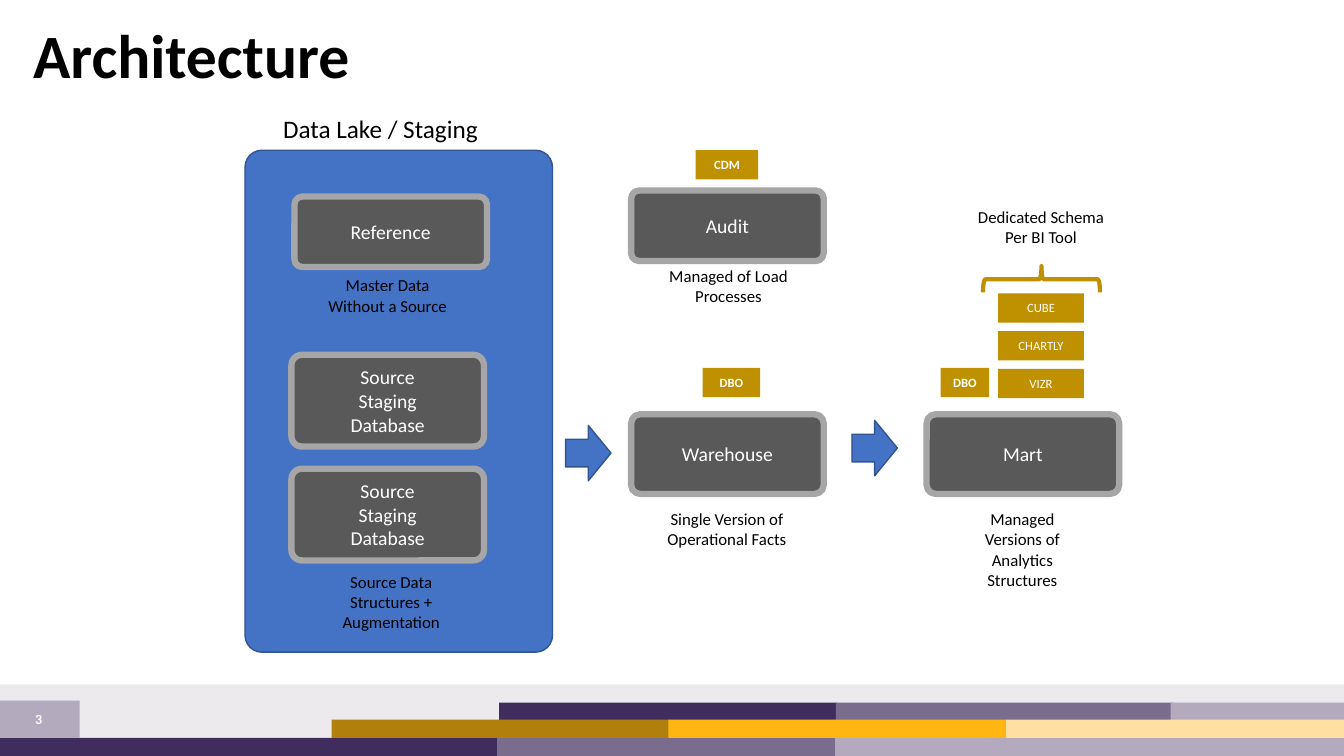
from pptx import Presentation
from pptx.dml.color import RGBColor
from pptx.enum.shapes import MSO_SHAPE
from pptx.enum.text import MSO_ANCHOR, PP_ALIGN
from pptx.util import Inches, Pt

COLORS = {
    "white": "FFFFFF", "black": "000000", "pale": "ECEAED",
    "lilac": "B3ABBD", "plum": "412D5D", "mauve": "7A6C8D",
    "bronze": "B1800C", "amber": "FFB612", "cream": "FFE0A2",
    "blue": "4472C4", "navy": "325491", "dark": "595959",
    "gray": "A6A6A6", "gold": "BF9000",
}

BANDS = [
    (0, 6.79, 13.33, 0.71, "pale"),
    (7.74, 7.06, 5.6, 0.44, "lilac"),
    (0, 7.32, 4.94, 0.18, "plum"),
    (4.93, 7.32, 3.35, 0.18, "mauve"),
    (4.95, 6.97, 3.35, 0.18, "plum"),
    (8.29, 6.97, 3.35, 0.18, "mauve"),
    (11.61, 6.97, 1.72, 0.18, "lilac"),
    (3.29, 7.14, 3.35, 0.18, "bronze"),
    (6.63, 7.14, 3.35, 0.18, "amber"),
    (9.98, 7.14, 3.35, 0.18, "cream"),
    (0, 6.95, 0.79, 0.37, "lilac"),
]

STORES = [
    (2.92, 1.95, 0.7, "Reference"),
    (2.89, 3.52, 0.91, "Source\vStaging\nDatabase"),
    (2.89, 4.65, 0.91, "Source\vStaging\nDatabase"),
    (6.26, 1.89, 0.7, "Audit"),
    (6.26, 4.11, 0.79, "Warehouse"),
    (9.19, 4.11, 0.79, "Mart"),
]

NOTES = [
    (3.04, 2.68, 1.61, 0.5, "Master Data\vWithout a Source"),
    (3.19, 5.62, 1.38, 0.71, "Source Data\nStructures + Augmentation"),
    (6.42, 2.59, 1.61, 0.5, "Managed of Load Processes"),
    (6.52, 5, 1.38, 0.71, "Single Version of Operational Facts"),
    (9.45, 5, 1.38, 0.91, "Managed Versions of Analytics Structures"),
    (9.52, 2, 1.61, 0.5, "Dedicated Schema Per BI Tool"),
]

OWNERS = [
    (6.9, 1.49, 0.62, "CDM"),
    (6.97, 3.65, 0.57, "DBO"),
    (9.33, 3.65, 0.48, "DBO"),
]

TOOLS = ["CUBE", "CHARTLY", "VIZR"]


def color(name):
    return RGBColor.from_string(COLORS[name])


def write(frame, text, size, tint="black", bold=False, align=PP_ALIGN.CENTER):
    frame.text = text
    for para in frame.paragraphs:
        para.alignment = align
        for run in para.runs:
            run.font.name = "Calibri"
            run.font.size = Pt(size)
            run.font.bold = bold
            run.font.color.rgb = color(tint)


def add_form(slide, kind, box, fill=None, line=None, width=1):
    shape = slide.shapes.add_shape(kind, *map(Inches, box))
    shape.shadow.inherit = False
    if fill:
        shape.fill.solid()
        shape.fill.fore_color.rgb = color(fill)
    else:
        shape.fill.background()
    if line:
        shape.line.color.rgb = color(line)
        shape.line.width = Pt(width)
    else:
        shape.line.fill.background()
    return shape


def add_label(slide, box, text, size, wrap=False, inset=True, **style):
    frame = slide.shapes.add_textbox(*map(Inches, box)).text_frame
    frame.word_wrap = wrap
    if not inset:
        frame.margin_left = frame.margin_right = 0
        frame.margin_top = frame.margin_bottom = 0
    write(frame, text, size, **style)
    return frame


def add_store(slide, left, top, height, text):
    box = (left, top, 1.91, height)
    shape = add_form(slide, MSO_SHAPE.ROUNDED_RECTANGLE, box, "dark", "gray", 4.5)
    shape.adjustments[0] = 0.114
    shape.text_frame.vertical_anchor = MSO_ANCHOR.MIDDLE
    write(shape.text_frame, text, 14, "white")


def add_tag(slide, left, top, width, text, bold=False):
    shape = add_form(slide, MSO_SHAPE.RECTANGLE, (left, top, width, 0.29), "gold")
    shape.text_frame.vertical_anchor = MSO_ANCHOR.MIDDLE
    write(shape.text_frame, text, 9, "white", bold)


def add_frame(slide):
    for *box, fill in BANDS:
        add_form(slide, MSO_SHAPE.RECTANGLE, box, fill)
    number = add_label(slide, (0.1, 7.06, 0.57, 0.15), "3", 10,
                       inset=False, tint="white", bold=True)
    number.vertical_anchor = MSO_ANCHOR.MIDDLE
    title = add_label(slide, (0.33, 0.25, 12.67, 0.57), "Architecture", 44,
                      inset=False, bold=True, align=PP_ALIGN.LEFT)
    title.paragraphs[0].line_spacing = 0.9


def add_lake(slide):
    lake = add_form(slide, MSO_SHAPE.ROUNDED_RECTANGLE,
                    (2.43, 1.49, 3.05, 4.98), "blue", "navy")
    lake.adjustments[0] = 0.055
    add_label(slide, (2.71, 1.08, 2.16, 0.4), "Data Lake / Staging", 18,
              align=PP_ALIGN.LEFT)


def main():
    deck = Presentation()
    deck.slide_width = Inches(13.33)
    deck.slide_height = Inches(7.5)
    slide = deck.slides.add_slide(deck.slide_layouts[6])
    add_frame(slide)
    add_lake(slide)
    for store in STORES:
        add_store(slide, *store)
    for left, top in [(5.61, 4.22), (8.45, 4.17)]:
        add_form(slide, MSO_SHAPE.RIGHT_ARROW, (left, top, 0.45, 0.55), "blue", "navy")
    for owner in OWNERS:
        add_tag(slide, *owner, bold=True)
    for row, tool in enumerate(TOOLS):
        add_tag(slide, 9.9, 2.91 + 0.375 * row, 0.85, tool)
    brace = add_form(slide, MSO_SHAPE.RIGHT_BRACE, (10.2, 2.19, 0.26, 1.16),
                     line="gold", width=3)
    brace.rotation = 270
    for *box, text in NOTES:
        add_label(slide, box, text, 12, wrap=True)
    deck.save("out.pptx")


if __name__ == "__main__":
    main()
